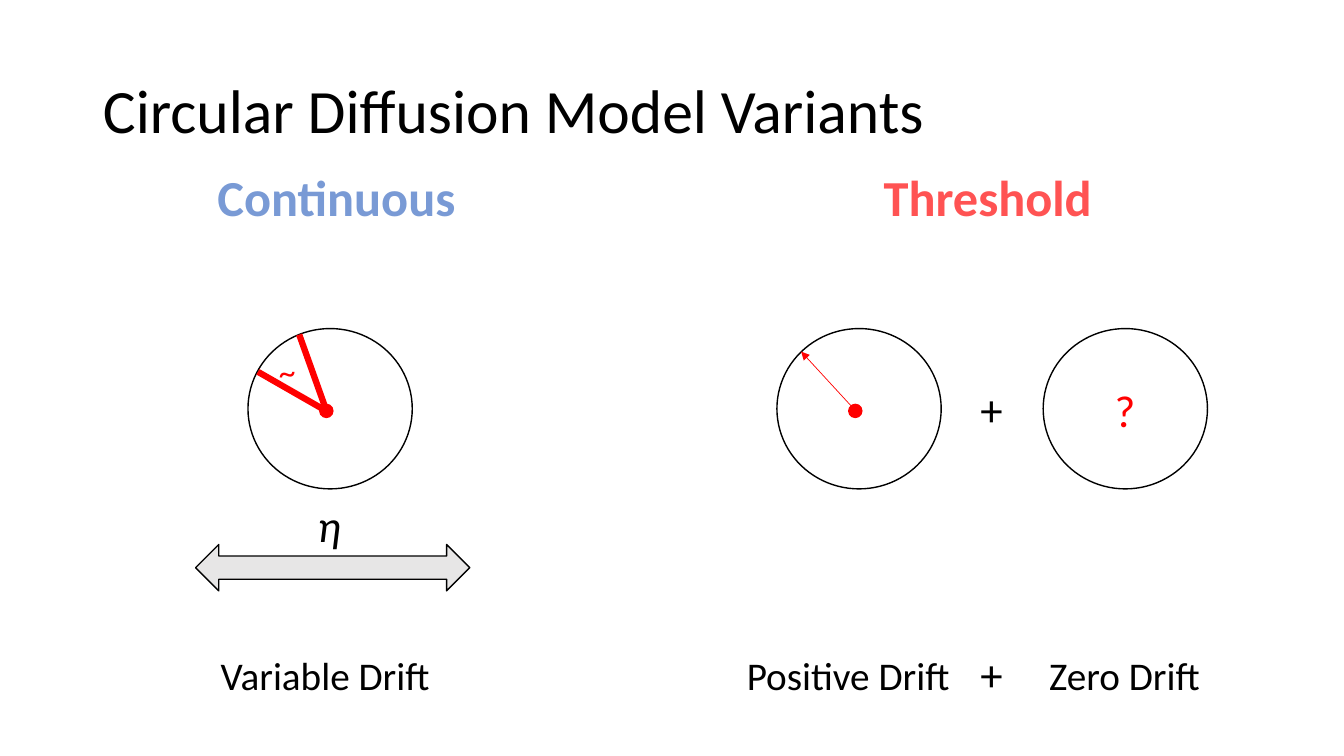
from lxml import etree
from pptx import Presentation
from pptx import util as u
from pptx.dml.color import RGBColor
from pptx.enum import shapes, text
from pptx.oxml import ns

BLACK = RGBColor(0x00, 0x00, 0x00)
WHITE = RGBColor(0xFF, 0xFF, 0xFF)
RED = RGBColor(0xFF, 0x00, 0x00)
GREY = RGBColor(0xE7, 0xE6, 0xE6)
BLUE = RGBColor(0x79, 0x9A, 0xD5)
CORAL = RGBColor(0xFF, 0x53, 0x53)

# Content: lengths in centimetres, text sizes in points
SLIDE_SIZE = (33.87, 19.05)
TITLE = ("Circular Diffusion Model Variants", (2.34, 1.02, 29.21, 3.68))

HEADING = {"size": u.Pt(36), "bold": True}
SYMBOL = {"size": u.Pt(32)}
CAPTION = {"size": u.Pt(28)}
LABELS = [
    ("Continuous", (5.23, 4.06, 6.6, 1.8), BLUE, HEADING),
    ("Threshold", (22.02, 4.06, 5.82, 1.8), CORAL, HEADING),
    ("η", (7.75, 12.42, 1.24, 1.63), BLACK, {**SYMBOL, "italic": True}),
    ("?", (27.84, 9.53, 1.04, 1.63), RED, SYMBOL),
    ("+", (24.46, 9.5, 1.09, 1.63), BLACK, SYMBOL),
    ("~", (6.78, 8.71, 0.94, 1.27), RED, {"size": u.Pt(24)}),
    ("Variable Drift", (5.31, 16.28, 5.84, 1.45), BLACK, CAPTION),
    ("Positive Drift", (18.57, 16.28, 5.69, 1.45), BLACK, CAPTION),
    ("Zero Drift", (26.19, 16.28, 4.37, 1.45), BLACK, CAPTION),
    ("+", (24.46, 16.18, 1.09, 1.63), BLACK, SYMBOL),
]

CIRCLE_TOP, CIRCLE_SIZE = 8.28, (4.14, 4.04)
CIRCLES = {"variable": 6.25, "positive": 19.58, "zero": 26.29}
DOT_OFFSET, DOT_SIZE = (1.81, 1.91), 0.33
ETA_RANGE = (4.93, 13.72, 6.91, 1.17)
DRIFT_START = (8.23, 10.36)
DRIFT_ENDS = [(6.5, 9.37), (7.54, 8.43)]
POSITIVE_DRIFT = ((21.46, 10.24), (20.19, 8.86))


def cm(lengths):
    return [u.Cm(length) for length in lengths]


def style_font(font, color, formats):
    font.name = "Calibri"
    font.color.rgb = color
    for name, value in formats.items():
        setattr(font, name, value)


def add_label(slide, words, box, color, formats):
    label = slide.shapes.add_textbox(*cm(box))
    label.text_frame.word_wrap = False
    run = label.text_frame.paragraphs[0].add_run()
    run.text = words
    style_font(run.font, color, formats)


def add_figure(slide, kind, box, fill, line):
    figure = slide.shapes.add_shape(kind, *cm(box))
    figure.shadow.inherit = False
    figure.fill.solid()
    figure.fill.fore_color.rgb = fill
    figure.line.color.rgb = line
    figure.line.width = u.Pt(1)


def add_drift(slide, start, end, width, arrow=False):
    drift = slide.shapes.add_connector(shapes.MSO_CONNECTOR.STRAIGHT, *cm(start + end))
    drift.line.color.rgb = RED
    drift.line.width = u.Pt(width)
    if arrow:
        etree.SubElement(drift.line._get_or_add_ln(), ns.qn("a:tailEnd"), type="triangle")
    etree.SubElement(drift._element.spPr, ns.qn("a:effectLst"))


def main():
    deck = Presentation()
    deck.slide_width, deck.slide_height = cm(SLIDE_SIZE)
    slide = deck.slides.add_slide(deck.slide_layouts[5])

    # Title
    words, box = TITLE
    title = slide.shapes.title
    title.left, title.top, title.width, title.height = cm(box)
    title.text_frame.text = words
    title.text_frame.vertical_anchor = text.MSO_ANCHOR.MIDDLE
    heading = title.text_frame.paragraphs[0]
    heading.alignment = text.PP_ALIGN.LEFT
    heading.line_spacing = 0.9
    style_font(heading.runs[0].font, BLACK, {"size": u.Pt(44)})

    # Circles and the range arrow
    oval = shapes.MSO_SHAPE.OVAL
    add_figure(slide, shapes.MSO_SHAPE.LEFT_RIGHT_ARROW, ETA_RANGE, GREY, BLACK)
    for left in CIRCLES.values():
        add_figure(slide, oval, (left, CIRCLE_TOP, *CIRCLE_SIZE), WHITE, BLACK)

    # Drift lines and starting points
    for end in DRIFT_ENDS:
        add_drift(slide, DRIFT_START, end, 4.5)
    for name in ("variable", "positive"):
        dot = (CIRCLES[name] + DOT_OFFSET[0], CIRCLE_TOP + DOT_OFFSET[1], DOT_SIZE, DOT_SIZE)
        add_figure(slide, oval, dot, RED, RED)
    add_drift(slide, *POSITIVE_DRIFT, 0.5, arrow=True)

    # Headings, symbols and captions
    for label in LABELS:
        add_label(slide, *label)

    deck.save("out.pptx")


if __name__ == "__main__":
    main()
